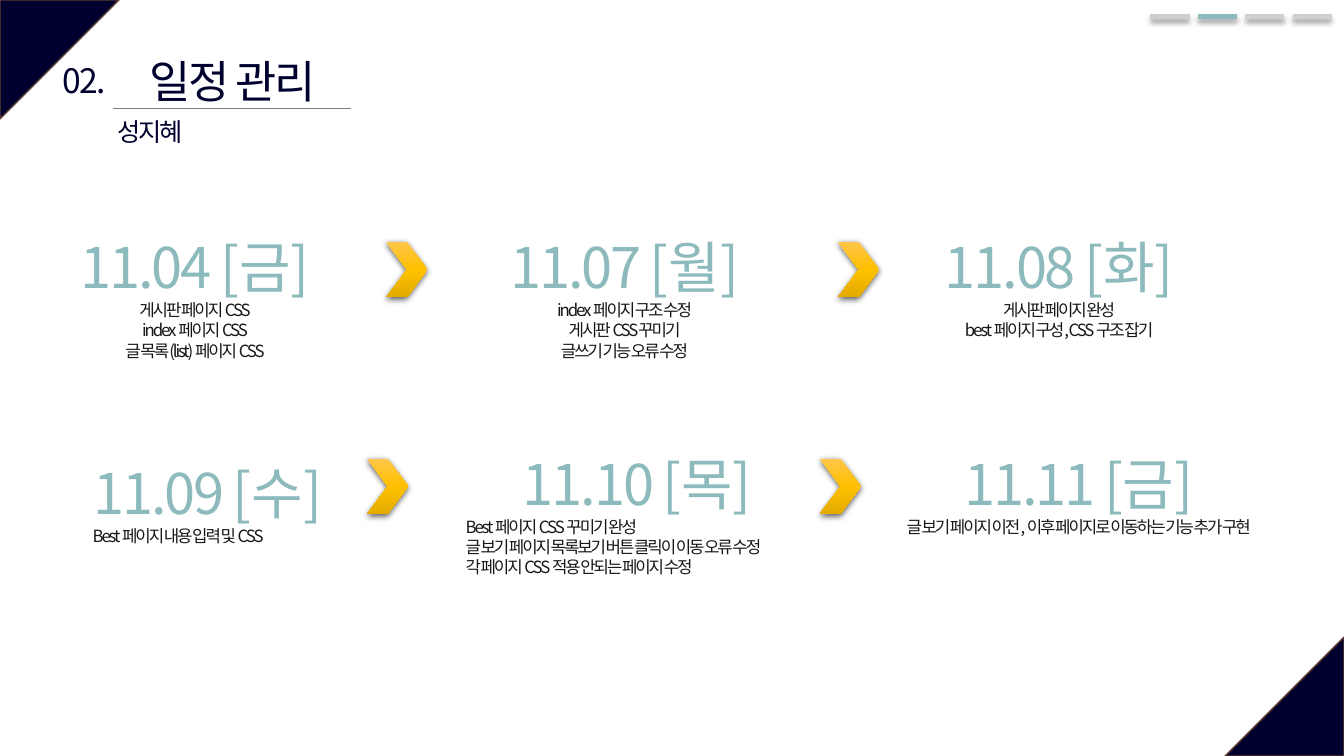
from copy import deepcopy
from dataclasses import dataclass

from lxml.etree import SubElement
from pptx import Presentation
from pptx.dml.color import RGBColor
from pptx.enum.shapes import MSO_CONNECTOR, MSO_SHAPE
from pptx.enum.text import MSO_ANCHOR, MSO_AUTO_SIZE, PP_ALIGN
from pptx.oxml.ns import qn
from pptx.util import Inches, Pt


@dataclass(frozen=True)
class Theme:
    font: str = "Noto Sans CJK KR"
    navy: str = "00002F"
    brown: str = "5B3F33"
    teal: str = "8DBABD"
    ink: str = "181717"
    light_gray: str = "D0CECE"
    rule_gray: str = "808080"
    gold: tuple[str, ...] = ("FFC64B", "FFC000", "E3AB00")
    title_size: float = 32
    number_size: float = 24
    author_size: float = 18
    date_size: float = 40
    task_size: float = 12
    letter_spacing: float = -1.5


@dataclass(frozen=True)
class Box:
    left: float
    top: float
    width: float
    height: float

    def lengths(self) -> tuple:
        return tuple(Inches(n) for n in (self.left, self.top, self.width, self.height))


@dataclass(frozen=True)
class Shadow:
    opacity: int
    blur: float
    distance: float


@dataclass(frozen=True)
class Day:
    box: Box
    date: str
    tasks: tuple[str, ...]
    task_align: PP_ALIGN = PP_ALIGN.CENTER


THEME = Theme()
TICK_SHADOW = Shadow(40, 4, 3)
CHEVRON_SHADOW = Shadow(63, 4.5, 1.5)
CORNERS = ((Box(0, 0, 1.18, 1.18), 90), (Box(12.15, 6.32, 1.18, 1.18), 270))
TICK_COUNT, CURRENT_TICK = 4, 1
TICK_LEFT, TICK_TOP, TICK_WIDTH, TICK_PITCH = 11.41, 0.16, 0.39, 0.47
CHEVRON_PLACES = ((3.83, 2.4), (8.31, 2.4), (3.64, 4.55), (8.13, 4.55))
DAYS = (
    Day(Box(0.7, 2.26, 2.47, 1.38), "11.04 [금]",
        ("게시판 페이지 CSS", "index 페이지 CSS", "글 목록(list) 페이지 CSS")),
    Day(Box(4.95, 2.26, 2.49, 1.58), "11.07 [월]",
        ("index 페이지 구조 수정", "게시판 CSS꾸미기", "글쓰기 기능 오류 수정")),
    Day(Box(9.27, 2.26, 2.47, 1.18), "11.08 [화]",
        ("게시판 페이지 완성", "best 페이지 구성, CSS 구조 잡기")),
    Day(Box(0.82, 4.5, 2.48, 1.01), "11.09 [수]",
        ("Best 페이지 내용 입력 및 CSS",), PP_ALIGN.LEFT),
    Day(Box(4.52, 4.41, 3.6, 1.38), "11.10 [목]",
        ("Best 페이지 CSS 꾸미기 완성",
         "글 보기 페이지 목록보기 버튼 클릭이 이동 오류 수정",
         "각 페이지 CSS 적용 안되는 페이지 수정"), PP_ALIGN.LEFT),
    Day(Box(8.67, 4.41, 4.06, 0.98), "11.11 [금]",
        ("글 보기 페이지 이전, 이후 페이지로 이동하는 기능 추가 구현",)),
)


def rgb(color: str) -> RGBColor:
    return RGBColor.from_string(color)


def set_shadow(shape, shadow: Shadow | None) -> None:
    """Give the shape a downward shadow, or an empty effect list for none."""
    effects = SubElement(shape._element.spPr, qn("a:effectLst"))
    if shadow:
        outer = SubElement(effects, qn("a:outerShdw"), blurRad=str(Pt(shadow.blur)),
                           dist=str(Pt(shadow.distance)), dir="5400000",
                           algn="t", rotWithShape="0")
        color = SubElement(outer, qn("a:srgbClr"), val="000000")
        SubElement(color, qn("a:alpha"), val=str(shadow.opacity * 1000))


def add_line(slide, left: float, right: float, top: float, color: str,
             weight: float, shadow: Shadow | None = None) -> None:
    line = slide.shapes.add_connector(MSO_CONNECTOR.STRAIGHT, Inches(left), Inches(top),
                                      Inches(right), Inches(top))
    line.line.color.rgb = rgb(color)
    line.line.width = Pt(weight)
    set_shadow(line, shadow)


def add_corner(slide, box: Box, rotation: int) -> None:
    corner = slide.shapes.add_shape(MSO_SHAPE.ISOSCELES_TRIANGLE, *box.lengths())
    corner.adjustments[0] = 0
    corner.rotation = rotation
    corner.fill.solid()
    corner.fill.fore_color.rgb = rgb(THEME.navy)
    corner.line.color.rgb = rgb(THEME.brown)
    corner.line.width = Pt(1)
    corner.shadow.inherit = False


def add_chevron(slide, left: float, top: float) -> None:
    chevron = slide.shapes.add_shape(MSO_SHAPE.CHEVRON, *Box(left, top, 0.41, 0.55).lengths())
    chevron.fill.gradient()
    chevron.fill.gradient_angle = 270
    stop_list = chevron._element.spPr.find(".//" + qn("a:gsLst"))
    stop_list.insert(1, deepcopy(stop_list[0]))
    for stop, position, color in zip(chevron.fill.gradient_stops, (0, 0.5, 1), THEME.gold):
        stop.position = position
        stop.color.rgb = rgb(color)
    chevron.line.fill.background()
    set_shadow(chevron, CHEVRON_SHADOW)


def format_paragraph(paragraph, size: float, color: str,
                     align: PP_ALIGN = PP_ALIGN.CENTER) -> None:
    paragraph.alignment = align
    for run in paragraph.runs:
        run.font.size = Pt(size)
        run.font.name = THEME.font
        run.font.color.rgb = rgb(color)
        properties = run.font._element
        properties.set("spc", str(int(THEME.letter_spacing * 100)))
        SubElement(properties, qn("a:ea"), typeface=THEME.font)


def fill_label(shape, text: str, size: float) -> None:
    frame = shape.text_frame
    frame.text = text
    frame.word_wrap = False
    frame.auto_size = MSO_AUTO_SIZE.SHAPE_TO_FIT_TEXT
    frame.vertical_anchor = MSO_ANCHOR.TOP
    format_paragraph(frame.paragraphs[0], size, THEME.navy)


def add_day(slide, day: Day) -> None:
    frame = slide.shapes.add_textbox(*day.box.lengths()).text_frame
    frame.word_wrap = True
    frame.text = "\n".join((day.date, *day.tasks))
    date, *tasks = frame.paragraphs
    format_paragraph(date, THEME.date_size, THEME.teal)
    for task in tasks:
        format_paragraph(task, THEME.task_size, THEME.ink, day.task_align)


def add_heading(slide) -> None:
    add_line(slide, 1.12, 3.48, 1.08, THEME.rule_gray, 0.5)
    number = slide.shapes.add_textbox(*Box(0.5, 0.55, 0.67, 0.5).lengths())
    fill_label(number, "02.", THEME.number_size)
    author = slide.shapes.add_textbox(*Box(1.04, 1.1, 0.9, 0.4).lengths())
    fill_label(author, "성지혜", THEME.author_size)
    title = slide.shapes.title
    title.left, title.top, title.width, title.height = Box(1.31, 0.48, 1.99, 0.64).lengths()
    fill_label(title, "일정 관리", THEME.title_size)


def main() -> None:
    presentation = Presentation()
    presentation.slide_width = Inches(13.33)
    presentation.slide_height = Inches(7.5)
    slide = presentation.slides.add_slide(presentation.slide_layouts.get_by_name("Title Only"))
    for box, rotation in CORNERS:
        add_corner(slide, box, rotation)
    for index in range(TICK_COUNT):
        left = TICK_LEFT + index * TICK_PITCH
        color = THEME.teal if index == CURRENT_TICK else THEME.light_gray
        add_line(slide, left, left + TICK_WIDTH, TICK_TOP, color, 3.5, TICK_SHADOW)
    add_heading(slide)
    for day in DAYS:
        add_day(slide, day)
    for left, top in CHEVRON_PLACES:
        add_chevron(slide, left, top)
    presentation.save("out.pptx")


if __name__ == "__main__":
    main()
